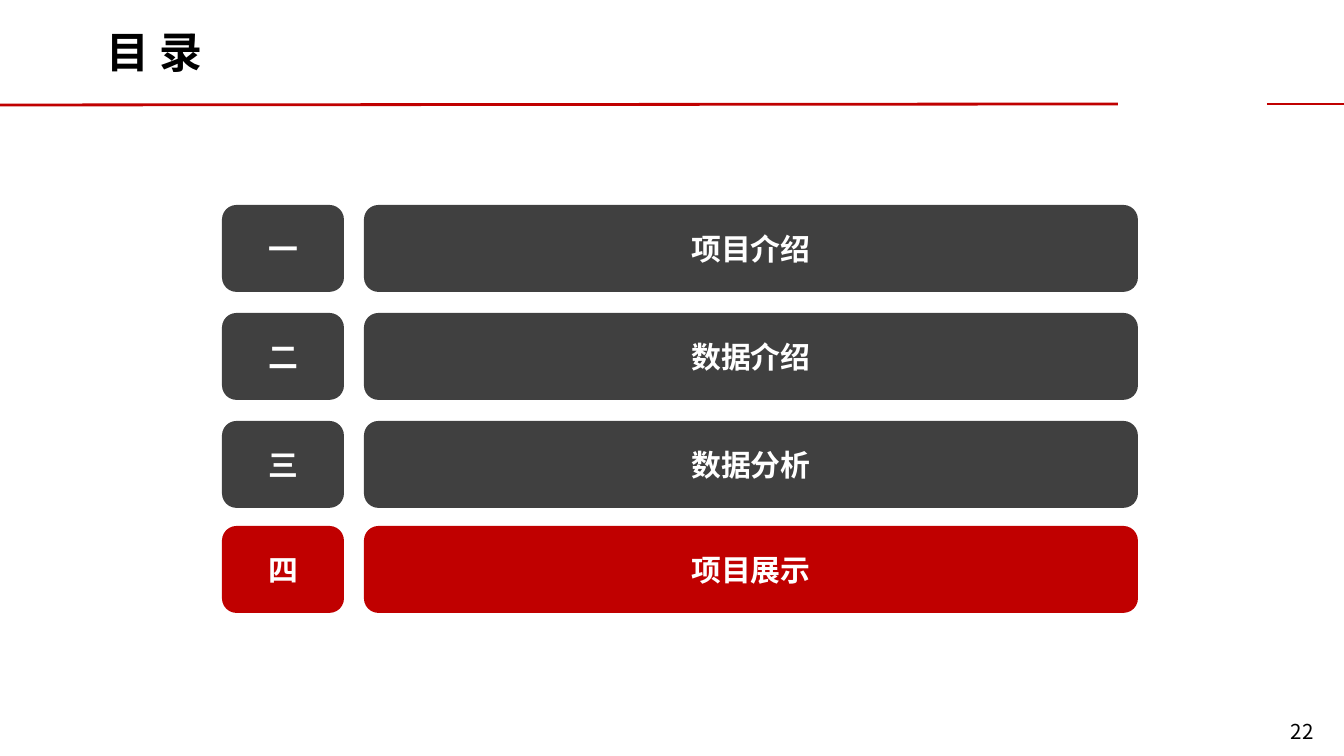
"""Build a contents slide with four numbered sections, the last one highlighted."""
from lxml import etree
from pptx import Presentation
from pptx import util as u
from pptx.dml.color import RGBColor
from pptx.enum import shapes, text
from pptx.oxml import ns

PX = 914400 / 134.4
FONT = "Noto Sans CJK SC"
COLORS = {"red": "C00000", "gray": "404040", "white": "FFFFFF", "black": "000000"}
SECTIONS = [
    (205, "一", "项目介绍", "gray"),
    (313, "二", "数据介绍", "gray"),
    (421, "三", "数据分析", "gray"),
    (526, "四", "项目展示", "red"),
]


def px(*values):
    return [u.Emu(round(v * PX)) for v in values]


def rgb(name):
    return RGBColor.from_string(COLORS[name])


def write(tf, words, size, color="black", bold=False, align="LEFT", spacing=None):
    tf.word_wrap = True
    tf.auto_size = text.MSO_AUTO_SIZE.NONE
    tf.vertical_anchor = text.MSO_ANCHOR.MIDDLE
    p = tf.paragraphs[0]
    p.alignment = text.PP_ALIGN[align]
    p.line_spacing = spacing
    r = p.add_run()
    r.text = words
    r.font.size = u.Pt(size)
    r.font.bold = bold
    r.font.color.rgb = rgb(color)
    r.font.name = FONT
    etree.SubElement(r.font._element, ns.qn("a:ea"), typeface=FONT)


class Deck:
    def __init__(self, width, height):
        self.prs = Presentation()
        self.prs.slide_width, self.prs.slide_height = px(width, height)
        self.s = self.prs.slides.add_slide(self.prs.slide_layouts[5])

    def title(self, words, *box):
        sp = self.s.shapes.title
        sp.left, sp.top, sp.width, sp.height = px(*box)
        write(sp.text_frame, words, 23, bold=True, spacing=0.9)

    def rule(self, *ends):
        sp = self.s.shapes.add_connector(shapes.MSO_CONNECTOR.STRAIGHT, *px(*ends))
        sp.line.color.rgb = rgb("red")
        sp.line.width = u.Pt(1.5)
        etree.SubElement(sp._element.spPr, ns.qn("a:effectLst"))

    def block(self, words, color, *box):
        sp = self.s.shapes.add_shape(shapes.MSO_SHAPE.ROUNDED_RECTANGLE, *px(*box))
        sp.shadow.inherit = False
        sp.fill.solid()
        sp.fill.fore_color.rgb = rgb(color)
        sp.line.fill.background()
        write(sp.text_frame, words, 16, color="white", bold=True, align="CENTER")

    def page_number(self, words, *box):
        sp = self.s.shapes.add_textbox(*px(*box))
        write(sp.text_frame, words, 11, align="RIGHT")


def main():
    deck = Deck(1344, 756)
    deck.rule(0, 105, 1118, 104)
    deck.rule(1267, 104, 1344, 104)
    deck.title("目 录", 93, 20, 1000, 70)
    for top, number, name, color in SECTIONS:
        deck.block(number, color, 222, top, 122, 87)
        deck.block(name, color, 364, top, 774, 87)
    deck.page_number("22", 1200, 707, 127, 49)
    deck.prs.save("out.pptx")


if __name__ == "__main__":
    main()
